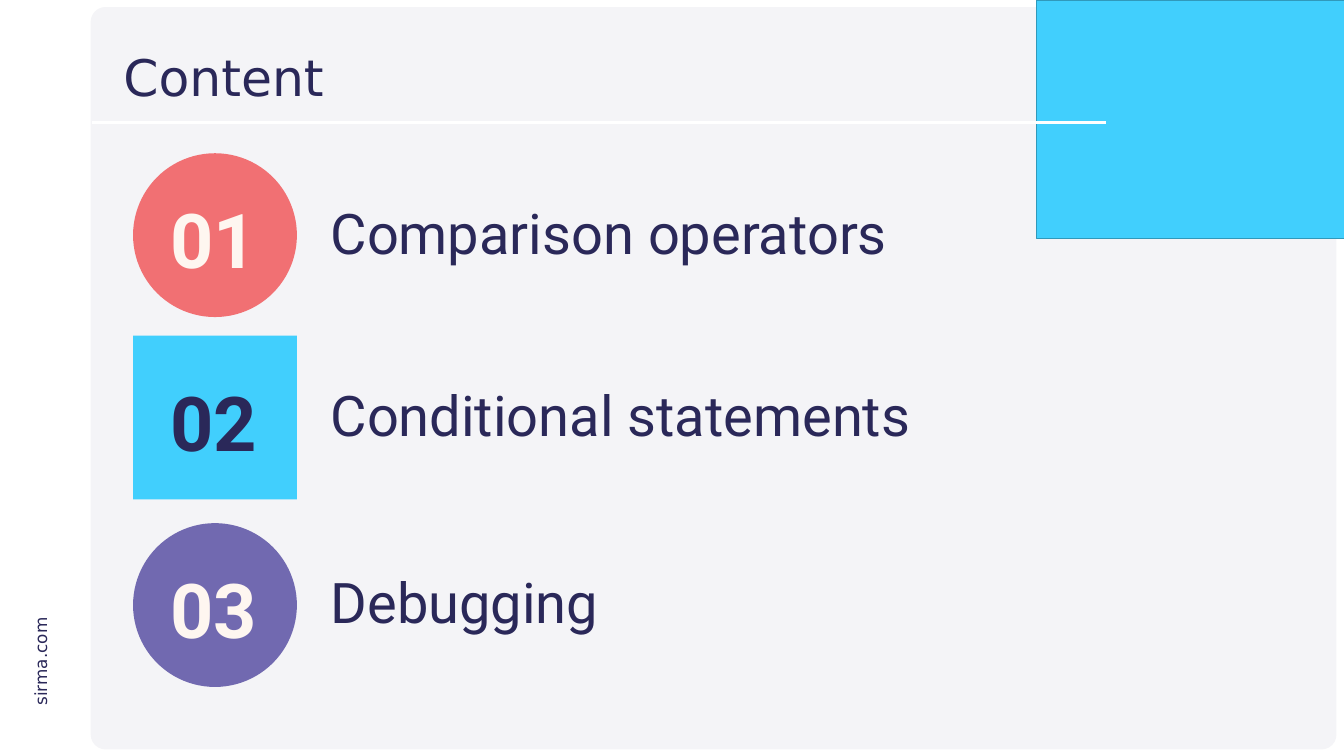
import pptx
import pptx.dml.color
import pptx.enum.shapes
import pptx.enum.text
import pptx.oxml.ns
import pptx.util
import lxml.etree

RGB = pptx.dml.color.RGBColor
SHAPE = pptx.enum.shapes.MSO_SHAPE
ANCHOR = pptx.enum.text.MSO_ANCHOR
ALIGN = pptx.enum.text.PP_ALIGN
FIT = pptx.enum.text.MSO_AUTO_SIZE

WHITE = RGB(0xFF, 0xFF, 0xFF)
MIST = RGB(0xF4, 0xF4, 0xF7)
NAVY = RGB(0x2A, 0x28, 0x59)
CYAN = RGB(0x41, 0xCF, 0xFD)
TEAL = RGB(0x30, 0x99, 0xBB)
CORAL = RGB(0xF1, 0x70, 0x73)
VIOLET = RGB(0x71, 0x69, 0xB0)
CREAM = RGB(0xFE, 0xF6, 0xF0)

WIDTH = pptx.util.Inches(26.66)
HEIGHT = pptx.util.Inches(15)
COLUMN = WIDTH / 100
ROW = HEIGHT / 100

TOPICS = [
    ("01", "Comparison operators", SHAPE.OVAL, CORAL, CREAM, 20.27, 46.32),
    ("02", "Conditional statements", SHAPE.RECTANGLE, CYAN, NAVY, 44.4, 58.03),
    ("03", "Debugging", SHAPE.OVAL, VIOLET, CREAM, 69.2, 55.4),
]


def place(left, top, width, height):
    return (round(left * COLUMN), round(top * ROW),
            round(width * COLUMN), round(height * ROW))


def add_block(slide, kind, box, fill, outline=None):
    block = slide.shapes.add_shape(kind, *place(*box))
    block.shadow.inherit = False
    block.fill.solid()
    block.fill.fore_color.rgb = fill
    if outline:
        block.line.color.rgb = outline
        block.line.width = pptx.util.Pt(1)
    else:
        block.line.fill.background()
    return block


def add_words(slide, box, words, size, face, color, bold=False,
              anchor=ANCHOR.TOP, align=ALIGN.LEFT, wrap=True, fit=FIT.SHAPE_TO_FIT_TEXT):
    holder = slide.shapes.add_textbox(*place(*box))
    frame = holder.text_frame
    frame.word_wrap = wrap
    frame.auto_size = fit
    frame.vertical_anchor = anchor
    paragraph = frame.paragraphs[0]
    paragraph.alignment = align
    run = paragraph.add_run()
    run.text = words
    run.font.size = pptx.util.Pt(size)
    run.font.name = face
    run.font.bold = bold
    run.font.color.rgb = color
    return holder


def draw_backdrop(slide, box):
    left, top, width, height = box
    panel = add_block(slide, SHAPE.ROUNDED_RECTANGLE, box, MIST)
    panel.adjustments[0] = 0.02
    site = add_words(slide, (left - 7.43, top + 84.8, 7.39, 3.33),
                     "sirma.com", 24, "DejaVu Sans", NAVY, wrap=False)
    site.rotation = 270
    add_block(slide, SHAPE.RECTANGLE, (77.12, 0, 22.88, 31.53), CYAN, TEAL)


def draw_header(slide, box):
    left, top, width, height = box
    add_block(slide, SHAPE.RECTANGLE, box, MIST)
    x, y, length, _ = place(left, top + 12.67, 75.4, 0)
    rule = slide.shapes.add_connector(
        pptx.enum.shapes.MSO_CONNECTOR.STRAIGHT, x, y, x + length, y)
    rule.line.color.rgb = WHITE
    rule.line.width = pptx.util.Pt(3)
    lxml.etree.SubElement(rule._element.spPr, pptx.oxml.ns.qn("a:effectLst"))
    title = add_words(slide, (left + 1.95, top + 1.8, 73.41, 10.53), "Content", 72,
                      "DejaVu Sans", NAVY, anchor=ANCHOR.MIDDLE, fit=FIT.NONE)
    title.text_frame.paragraphs[0].line_spacing = 0.9


def draw_topic(slide, box, number, topic, badge, fill, ink):
    left, top, width, height = box
    badge_width = height * ROW / COLUMN
    add_block(slide, badge, (left, top, badge_width, height), fill)
    add_words(slide, (left - 0.98, top + 4.8, badge_width + 1.76, 12.8), number, 108,
              "Roboto", ink, bold=True, anchor=ANCHOR.BOTTOM, align=ALIGN.CENTER)
    label_offset = 14.33
    add_words(slide, (left + label_offset, top + 5.6, width - label_offset, 9.67),
              topic, 80, "Roboto", NAVY)


def main():
    deck = pptx.Presentation()
    deck.slide_width = WIDTH
    deck.slide_height = HEIGHT
    slide = deck.slides.add_slide(deck.slide_layouts[6])
    slide.background.fill.solid()
    slide.background.fill.fore_color.rgb = WHITE
    draw_backdrop(slide, (6.75, 0.93, 92.69, 98.2))
    draw_header(slide, (6.86, 3.53, 68.79, 15.87))
    for number, topic, badge, fill, ink, top, label_width in TOPICS:
        draw_topic(slide, (9.9, top, 14.33 + label_width, 21.67),
                   number, topic, badge, fill, ink)
    deck.save("out.pptx")


if __name__ == "__main__":
    main()
